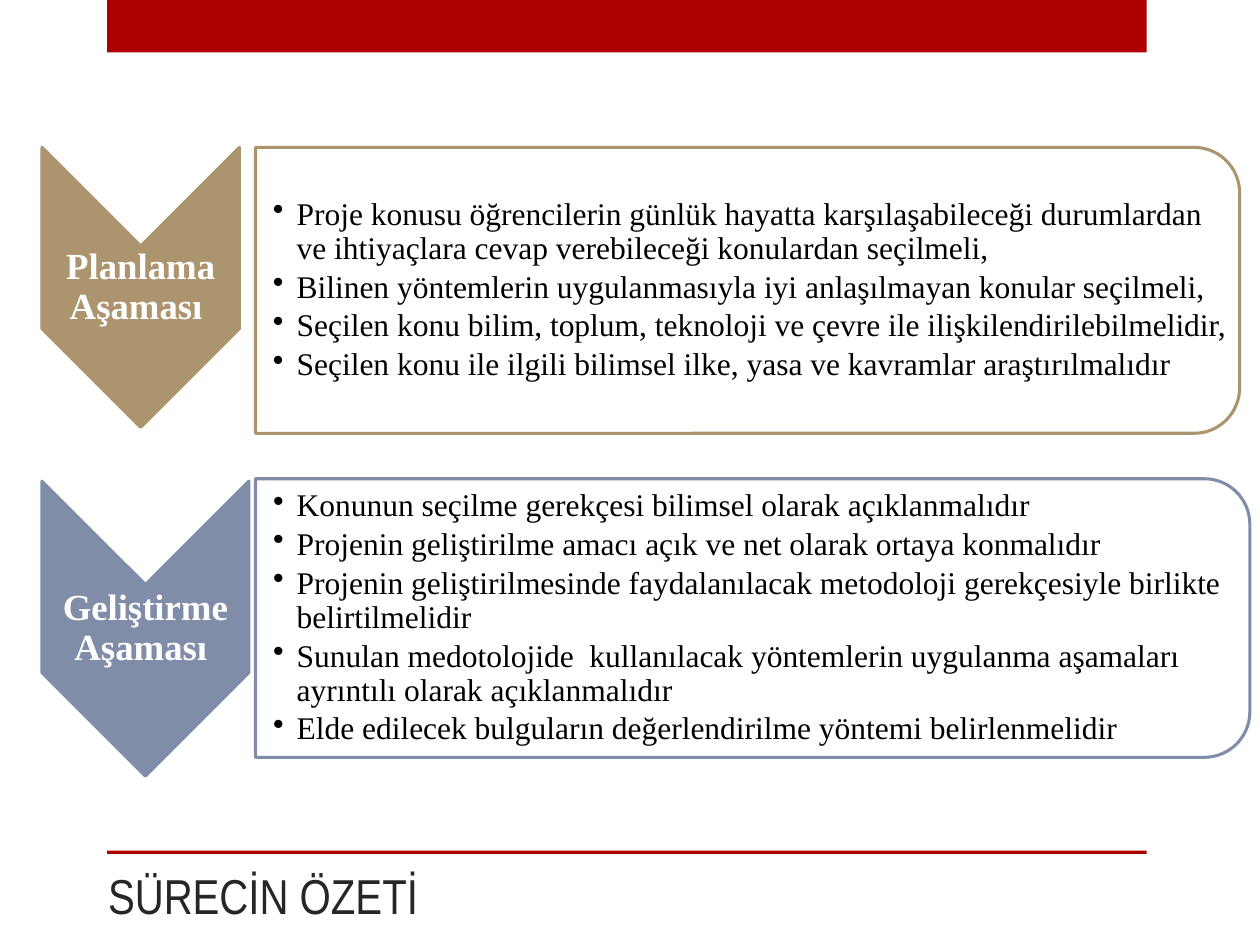
import math

import pptx
import pptx.dml.color
import pptx.enum.shapes
import pptx.enum.text
import pptx.oxml.ns
import pptx.util
from lxml import etree

Pt = pptx.util.Pt
RGBColor = pptx.dml.color.RGBColor
ALIGN = pptx.enum.text.PP_ALIGN

RED = RGBColor(0xAD, 0x01, 0x01)
TAN = RGBColor(0xAC, 0x95, 0x6E)
SLATE = RGBColor(0x80, 0x8D, 0xA9)
WHITE = RGBColor(0xFF, 0xFF, 0xFF)
BLACK = RGBColor(0, 0, 0)
CHARCOAL = RGBColor(0x26, 0x26, 0x26)

STAGES = [
    ("Planlama Aşaması ", TAN, (24, 84.25, 112.8, 160), (146, 84.25, 562.4, 163.4), [
        "Proje konusu öğrencilerin günlük hayatta karşılaşabileceği durumlardan "
        "ve ihtiyaçlara cevap verebileceği konulardan seçilmeli,",
        "Bilinen yöntemlerin uygulanmasıyla iyi anlaşılmayan konular seçilmeli,",
        "Seçilen konu bilim, toplum, teknoloji ve çevre ile ilişkilendirilebilmelidir,",
        "Seçilen konu ile ilgili bilimsel ilke, yasa ve kavramlar araştırılmalıdır",
    ]),
    ("Geliştirme Aşaması ", SLATE, (24, 275, 118.2, 168.5), (146, 273.6, 568.2, 159.2), [
        "Konunun seçilme gerekçesi bilimsel olarak açıklanmalıdır",
        "Projenin geliştirilme amacı açık ve net olarak ortaya konmalıdır",
        "Projenin geliştirilmesinde faydalanılacak metodoloji gerekçesiyle birlikte "
        "belirtilmelidir",
        "Sunulan medotolojide  kullanılacak yöntemlerin uygulanma aşamaları "
        "ayrıntılı olarak açıklanmalıdır",
        "Elde edilecek bulguların değerlendirilme yöntemi belirlenmelidir",
    ]),
]


def write_text(shape, lines, size, color, font="Times New Roman", bold=False, align=ALIGN.LEFT,
               insets=(7.2, 3.6, 7.2, 3.6), spacing=None, after=0, bullet=False):
    """Fill a shape with formatted paragraphs, one for each line."""
    frame = shape.text_frame
    frame.word_wrap = True
    frame.vertical_anchor = pptx.enum.text.MSO_ANCHOR.MIDDLE
    frame.margin_left, frame.margin_top, frame.margin_right, frame.margin_bottom = map(Pt, insets)
    for index, line in enumerate(lines):
        paragraph = frame.add_paragraph() if index else frame.paragraphs[0]
        paragraph.alignment = align
        paragraph.line_spacing = spacing
        paragraph.space_after = Pt(after)
        if bullet:
            paragraph.level = 1
            properties = paragraph._p.get_or_add_pPr()
            properties.set("marL", str(Pt(13.5)))
            properties.set("indent", str(-Pt(13.5)))
            etree.SubElement(properties, pptx.oxml.ns.qn("a:buChar")).set("char", "•")
        run = paragraph.add_run()
        run.text = line
        run.font.name, run.font.size, run.font.bold = font, Pt(size), bold
        run.font.color.rgb = color


def add_outline(slide, points, fill, line):
    """Draw a closed outline through points."""
    corners = [(Pt(x), Pt(y)) for x, y in points]
    builder = slide.shapes.build_freeform(*corners[0])
    builder.add_line_segments(corners[1:], close=True)
    outline = builder.convert_to_shape()
    outline.shadow.inherit = False
    outline.fill.solid()
    outline.fill.fore_color.rgb = fill
    outline.line.color.rgb = line
    outline.line.width = Pt(1.75)
    return outline


def add_stage_arrow(slide, box, label, color):
    """Place a downward chevron with its stage name."""
    left, top, width, height = box
    notch = width / 2
    right, shoulder = left + width, top + height - notch
    arrow = add_outline(slide, [
        (right, top), (right, shoulder), (left + notch, top + height),
        (left, shoulder), (left, top), (left + notch, top + notch)], color, color)
    write_text(arrow, [label], 21, WHITE, bold=True, align=ALIGN.CENTER, spacing=0.9,
               insets=(0.7, notch, 0.7, notch))


def add_stage_panel(slide, box, steps, color, radius=26):
    """Place a panel rounded on its right side with bulleted steps."""
    left, top, width, height = box
    right, bottom = left + width, top + height
    angles = [math.radians(degree) for degree in range(0, 91, 6)]
    upper = [(right - radius * (1 - math.sin(a)), top + radius * (1 - math.cos(a)))
             for a in angles]
    lower = [(x, top + bottom - y) for x, y in reversed(upper)]
    panel = add_outline(slide, [(left, top), *upper, *lower, (left, bottom)], WHITE, color)
    write_text(panel, steps, 18, BLACK, spacing=0.9, after=2.7, bullet=True,
               insets=(10, 7.5, 7.2, 7.5))


def add_band(slide, box):
    """Place a plain red band."""
    band = slide.shapes.add_shape(pptx.enum.shapes.MSO_SHAPE.RECTANGLE, *map(Pt, box))
    band.shadow.inherit = False
    band.fill.solid()
    band.fill.fore_color.rgb = RED
    band.line.fill.background()


def add_title(slide, box, title):
    """Place the slide title."""
    heading = slide.shapes.add_textbox(*map(Pt, box))
    write_text(heading, [title], 28, CHARCOAL, font="Arial Narrow")


def main():
    """Build the process summary slide."""
    presentation = pptx.Presentation()
    presentation.slide_width, presentation.slide_height = Pt(720), Pt(540)
    slide = presentation.slides.add_slide(presentation.slide_layouts[6])
    add_band(slide, (61.2, 0, 594, 30))
    add_band(slide, (61.2, 486, 594, 2))
    add_title(slide, (54.7, 463.7, 710.6, 95.8), "SÜRECİN ÖZETİ")
    for label, color, arrow_box, panel_box, steps in STAGES:
        add_stage_arrow(slide, arrow_box, label, color)
        add_stage_panel(slide, panel_box, steps, color)
    presentation.save("out.pptx")


if __name__ == "__main__":
    main()
